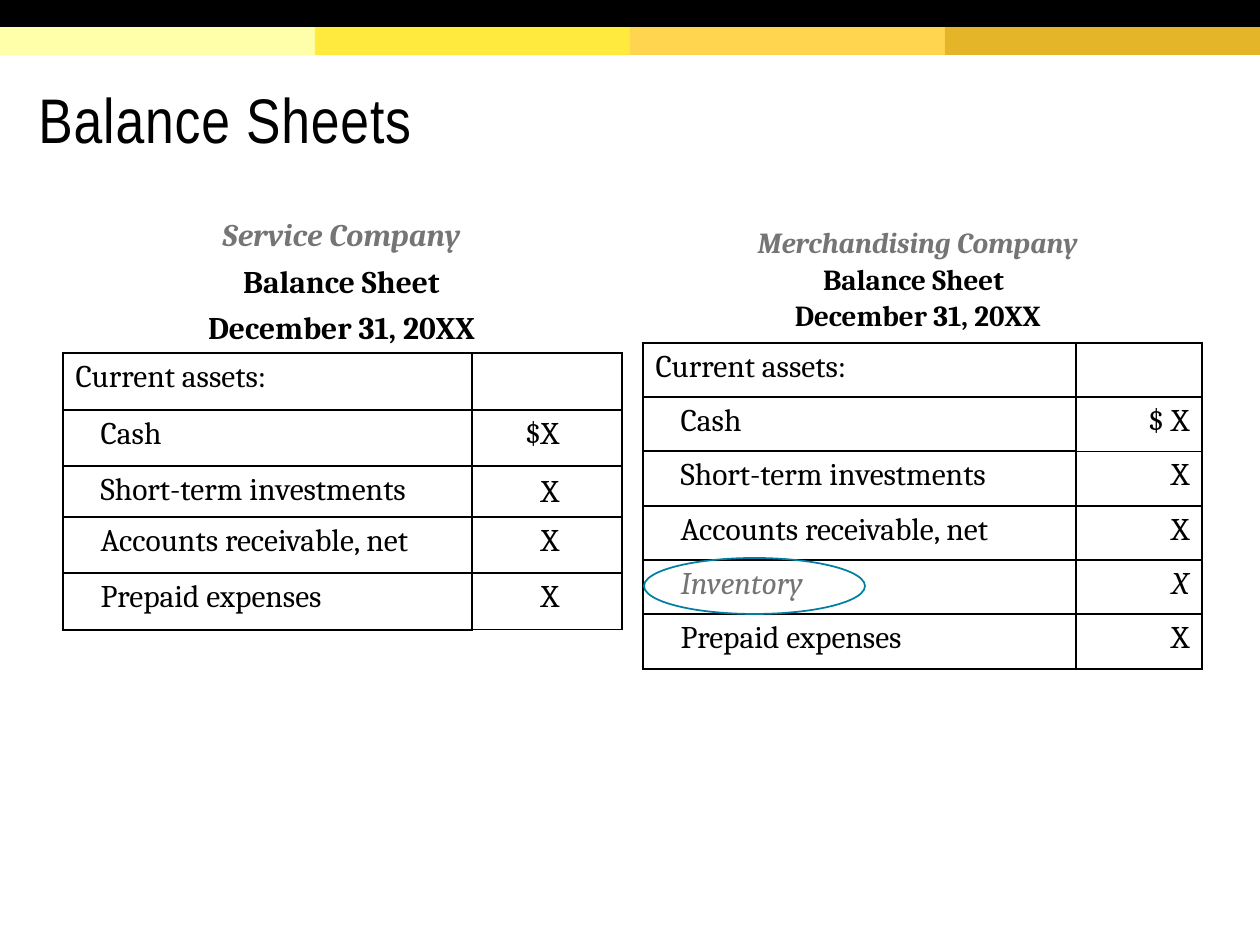
from pptx import Presentation
from pptx.dml.color import RGBColor
from pptx.enum.shapes import MSO_SHAPE as SHAPE
from pptx.enum.text import MSO_ANCHOR as ANCHOR, PP_ALIGN as ALIGN
from pptx.oxml.ns import qn
from pptx.util import Pt
from lxml.etree import SubElement

PX = 914400 / 126
COLORS = {
    "black": "000000", "gray": "757575", "teal": "007FA3",
    "cream": "FFFFAA", "yellow": "FFEA3D", "amber": "FFD54F", "gold": "E4B429",
}
SERIF = "Cambria"


def px(n):
    return round(n * PX)


def rgb(name):
    return RGBColor.from_string(COLORS[name])


def style(font, name, size, color="black", bold=False, italic=False):
    font.name, font.size = name, Pt(size)
    font.bold, font.italic = bold, italic
    font.color.rgb = rgb(color)


def add_shape(slide, kind, box, fill=None, line=None):
    sp = slide.shapes.add_shape(kind, *map(px, box))
    sp.shadow.inherit = False
    if fill:
        sp.fill.solid()
        sp.fill.fore_color.rgb = rgb(fill)
    else:
        sp.fill.background()
    if line:
        sp.line.color.rgb = rgb(line)
        sp.line.width = Pt(1)
    else:
        sp.line.fill.background()


def add_text_frame(slide, box):
    tf = slide.shapes.add_textbox(*map(px, box)).text_frame
    tf.word_wrap = True
    tf.vertical_anchor = ANCHOR.MIDDLE
    return tf


def add_title(slide, text):
    tf = add_text_frame(slide, (26, 59, 1196, 123))
    tf.margin_top = px(13)
    p = tf.paragraphs[0]
    p.line_spacing = 0.85
    r = p.add_run()
    r.text = text
    style(r.font, "Arial Narrow", 36)
    r._r.get_or_add_rPr().set("spc", "50")


def add_heading(slide, box, lines, size, spacing):
    tf = add_text_frame(slide, box)
    for i, line in enumerate(lines):
        p = tf.paragraphs[0] if i == 0 else tf.add_paragraph()
        p.text = line
        p.alignment = ALIGN.CENTER
        p.line_spacing = spacing
        p.space_after = Pt(8)
        style(p.font, SERIF, size, "black" if i else "gray", True, i == 0)


def set_borders(cell, widths):
    tcPr = cell._tc.get_or_add_tcPr()
    for side in ("L", "R", "T", "B"):
        ln = SubElement(tcPr, qn(f"a:ln{side}"), w=str(Pt(widths.get(side, 1))))
        fill = SubElement(ln, qn("a:solidFill"))
        SubElement(fill, qn("a:srgbClr"), val=COLORS["black"])
    cell.fill.background()


def add_balance_table(slide, left, top, cols, heights, rows, inset=13, thin=None):
    frame = slide.shapes.add_table(len(rows), len(cols), px(left), px(top),
                                   px(sum(cols)), px(sum(heights)))
    table = frame.table
    table.first_row = table.horz_banding = False
    for column, width in zip(table.columns, cols):
        column.width = px(width)
    for i, (row, height) in enumerate(zip(rows, heights)):
        table.rows[i].height = px(height)
        for j, text in enumerate(row):
            cell = table.cell(i, j)
            set_borders(cell, (thin or {}).get((i, j), {}))
            p = cell.text_frame.paragraphs[0]
            p.text = text
            if j:
                p.alignment = ALIGN.RIGHT
                cell.margin_right = px(inset)
            elif i:
                p._p.get_or_add_pPr().set("marL", str(px(25)))
            new = row[0] == "Inventory"
            style(p.font, SERIF, 18, "gray" if new and not j else "black", italic=new)
    return table


def main():
    prs = Presentation()
    prs.slide_width, prs.slide_height = px(1260), px(945)
    slide = prs.slides.add_slide(prs.slide_layouts[6])

    for i, color in enumerate(("cream", "yellow", "amber", "gold")):
        add_shape(slide, SHAPE.RECTANGLE, (315 * i, 27, 315, 28), color)
    add_shape(slide, SHAPE.RECTANGLE, (0, 0, 1260, 27), "black")
    add_title(slide, "Balance Sheets")

    date = "December 31, 20XX"
    add_heading(slide, (63, 227, 557, 113),
                ("Service Company", "Balance Sheet", date), 18, 0.85)
    service = add_balance_table(
        slide, 63, 353, (409, 150), (57, 56, 51, 56, 57),
        [("Current assets:", ""), ("Cash", "$X"), ("Short-term investments", "X"),
         ("Accounts receivable, net", "X"), ("Prepaid expenses", "X")],
        inset=63, thin={(4, 1): {"B": 0.75}})
    service.cell(2, 1).vertical_anchor = ANCHOR.BOTTOM

    add_heading(slide, (638, 227, 559, 113),
                ("Merchandising Company", "Balance Sheet\t", date), 16.6, 0.65)
    add_balance_table(
        slide, 643, 343, (433, 126), (54, 54, 55) * 2,
        [("Current assets:", ""), ("Cash", "$ X"), ("Short-term investments", "X"),
         ("Accounts receivable, net", "X"), ("Inventory", "X"), ("Prepaid expenses", "X")],
        thin={(1, 1): {"B": 0.25}, (2, 1): {"T": 0.25}})
    add_shape(slide, SHAPE.OVAL, (644, 558, 221, 56), line="teal")

    prs.save("out.pptx")


if __name__ == "__main__":
    main()
